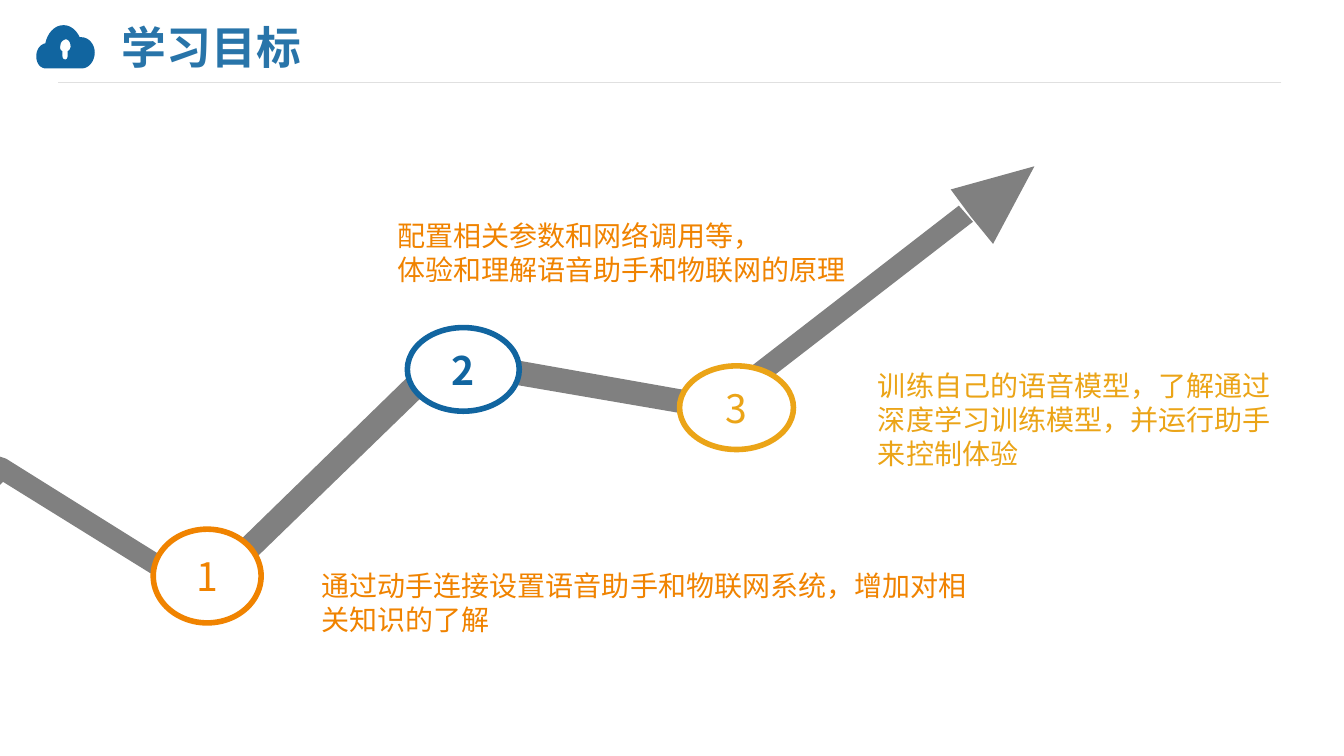
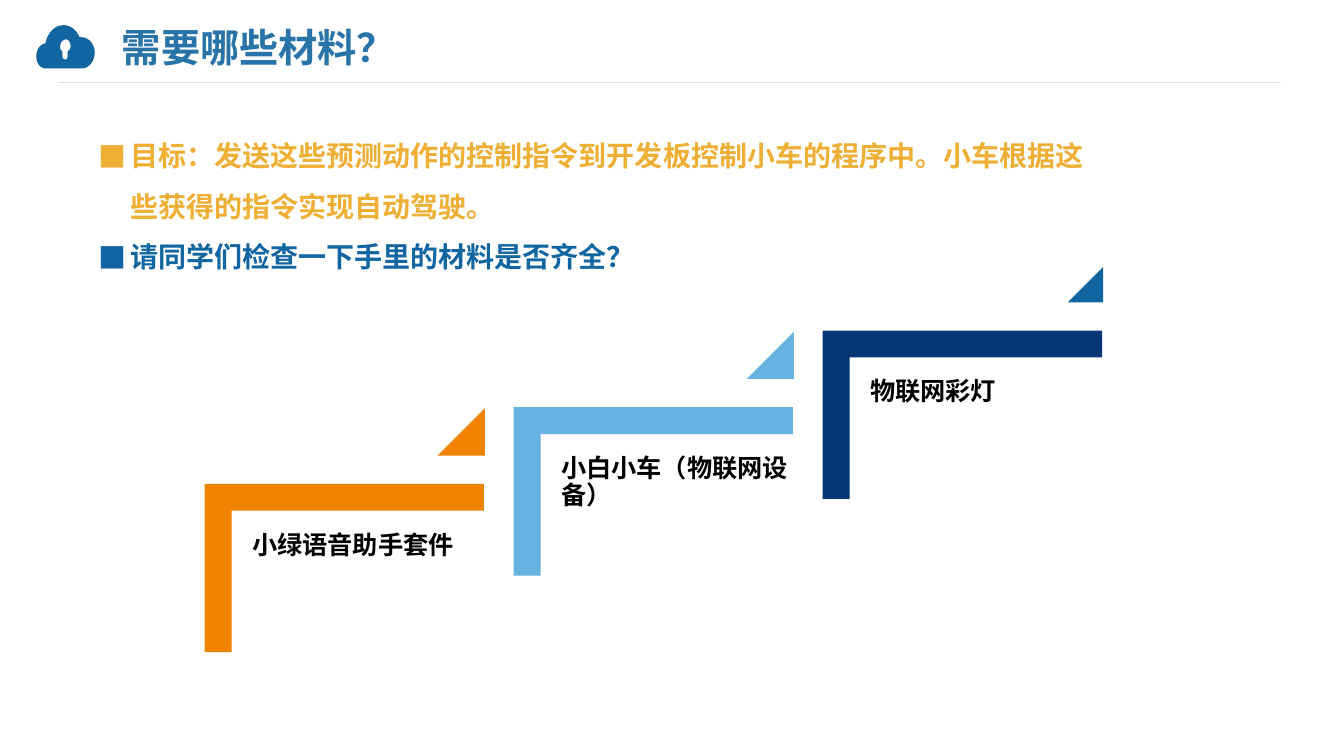
from dataclasses import dataclass

from lxml.etree import SubElement
from pptx import Presentation
from pptx.dml.color import RGBColor
from pptx.enum.shapes import MSO_CONNECTOR as Link, MSO_SHAPE as Kind
from pptx.enum.text import MSO_ANCHOR as Anchor, MSO_AUTO_SIZE as Fit, PP_ALIGN as Align
from pptx.oxml.ns import qn
from pptx.util import Inches, Pt


@dataclass(frozen=True)
class Theme:
    blue: str = "1165A0"
    head: str = "2874A9"
    navy: str = "053675"
    sky: str = "66B3E1"
    orange: str = "F08300"
    gold: str = "EBA417"
    amber: str = "EEAF34"
    gray: str = "808080"
    pale: str = "E0E0E0"
    white: str = "FFFFFF"
    black: str = "000000"
    sans: str = "Noto Sans CJK SC"
    latin: str = "Calibri"
    large: int = 32
    title: int = 28
    number: int = 28
    body: int = 20
    label: int = 18


T = Theme()

# Cloud outline and keyhole: a start point, then cubic segments (a lone point is a line)
CLOUD = ((0.45, 0.12), [
    ((0.44, 0.12), (0.44, 0.12), (0.43, 0.12)),
    ((0.4, 0.05), (0.34, 0), (0.27, 0)),
    ((0.18, 0), (0.11, 0.08), (0.09, 0.18)),
    ((0.04, 0.19), (0, 0.24), (0, 0.31)),
    ((0, 0.38), (0.04, 0.43), (0.1, 0.43)),
    ((0.45, 0.43),),
    ((0.52, 0.43), (0.58, 0.36), (0.58, 0.27)),
    ((0.58, 0.19), (0.52, 0.12), (0.45, 0.12))])
KEY = ((0.31, 0.26), [
    ((0.31, 0.31),),
    ((0.31, 0.33), (0.3, 0.34), (0.29, 0.34)),
    ((0.27, 0.34), (0.26, 0.33), (0.26, 0.31)),
    ((0.26, 0.26),),
    ((0.24, 0.25), (0.23, 0.23), (0.24, 0.2)),
    ((0.24, 0.17), (0.26, 0.15), (0.29, 0.14)),
    ((0.32, 0.14), (0.34, 0.17), (0.34, 0.21)),
    ((0.34, 0.23), (0.33, 0.25), (0.31, 0.26))])
TREND = [(0, 2.88), (0.06, 2.9), (1.98, 4.1), (4.31, 1.83), (4.38, 1.72),
         (4.48, 1.81), (7.08, 2.27), (9.51, 0.39), (9.65, 0.55), (7.14, 2.49),
         (7.07, 2.55), (6.99, 2.49), (4.43, 2.05), (2.11, 4.3), (2.07, 4.37),
         (1.98, 4.34), (0.03, 3.13), (0, 3.16)]
TIP = [(10.26, 0), (9.43, 0.23), (9.63, 0.5), (9.85, 0.77)]


def tint(code):
    return RGBColor.from_string(code)


def place(shape, box):
    shape.left, shape.top, shape.width, shape.height = map(Inches, box)


def paint(shape, fill, edge=None, width=0):
    shape.shadow.inherit = False
    shape.fill.solid()
    shape.fill.fore_color.rgb = tint(fill)
    if edge:
        shape.line.color.rgb = tint(edge)
        shape.line.width = Pt(width)
    else:
        shape.line.fill.background()


def write(para, text, size, color, bold=False, face=T.sans):
    run = para.add_run()
    run.text = text
    font = run.font
    font.name, font.size, font.bold = face, Pt(size), bold
    font.color.rgb = tint(color)
    props = run._r.get_or_add_rPr()
    props.set("lang", "zh-CN")
    east = SubElement(props, qn("a:ea"))
    east.set("typeface", T.latin)


def frame(shape, inset=(0.1, 0.05, 0.1, 0.05), anchor=Anchor.TOP, wrap=True):
    """Set up the text frame; the inset runs left, top, right, bottom."""
    area = shape.text_frame
    area.auto_size = Fit.NONE
    area.word_wrap = wrap
    area.vertical_anchor = anchor
    (area.margin_left, area.margin_top,
     area.margin_right, area.margin_bottom) = map(Inches, inset)
    return area


def lines(area, count):
    """Give the frame this many paragraphs."""
    for _ in range(count - 1):
        area.add_paragraph()
    return area.paragraphs


def curve(start, parts, steps=8):
    """Turn cubic segments into a list of points."""
    spots = [start]
    for part in parts:
        if len(part) == 1:
            spots.append(part[0])
            continue
        ends = (spots[-1], *part)
        for step in range(1, steps + 1):
            t = step / steps
            u = 1 - t
            mix = (u ** 3, 3 * u * u * t, 3 * u * t * t, t ** 3)
            spots.append(tuple(sum(m * p[axis] for m, p in zip(mix, ends))
                               for axis in (0, 1)))
    return spots


def outline(slide, x, y, loops, fill):
    """Draw closed loops, offset by x and y, as one shape."""
    moved = [[(Inches(x + px), Inches(y + py)) for px, py in loop] for loop in loops]
    first, *rest = moved
    pen = slide.shapes.build_freeform(*first[0])
    pen.add_line_segments(first[1:], close=True)
    for loop in rest:
        pen.move_to(*loop[0])
        pen.add_line_segments(loop[1:], close=True)
    paint(pen.convert_to_shape(), fill)


def header(slide, box, text, size):
    """Rule, cloud and title across the top band."""
    x, y, w, h = box
    rule = slide.shapes.add_connector(
        Link.STRAIGHT, *map(Inches, (x + w, y + h, x + 0.22, y + h)))
    rule.line.color.rgb = tint(T.pale)
    rule.line.width = Pt(0.75)
    SubElement(rule._element.spPr, qn("a:effectLst"))
    outline(slide, x, y, [curve(*CLOUD), curve(*KEY)], T.blue)
    title = slide.shapes.title
    place(title, (x + 0.85, y - 0.05, 8.89, 0.52))
    para = frame(title, (0, 0, 0, 0), Anchor.MIDDLE).paragraphs[0]
    para.alignment = Align.LEFT
    write(para, text, size, T.head, True)


def node(slide, box, text, color, bold):
    disc = slide.shapes.add_shape(Kind.OVAL, *map(Inches, box))
    paint(disc, T.white, color, 4)
    para = frame(disc, anchor=Anchor.MIDDLE, wrap=False).paragraphs[0]
    para.alignment = Align.CENTER
    write(para, text, T.number, color, bold)


def note(slide, box, texts, color):
    area = frame(slide.shapes.add_textbox(*map(Inches, box)))
    for para, text in zip(lines(area, len(texts)), texts):
        write(para, text, T.body, color)


def trend(slide, box):
    """Rising arrow with numbered stops and a note for each."""
    x, y = box[:2]
    outline(slide, x, y, [TREND], T.gray)
    outline(slide, x, y, [TIP], T.gray)
    stops = [
        ((1.52, 3.6, 1.07, 0.93), T.orange, False, (3.09, 3.94, 6.67, 0.77), T.orange,
         ["通过动手连接设置语音助手和物联网系统，增加对相关知识的了解"]),
        ((4.04, 1.6, 1.11, 0.83), T.blue, True, (3.84, 0.47, 4.8, 0.94), T.orange,
         ["配置相关参数和网络调用等，", "体验和理解语音助手和物联网的原理"]),
        ((6.74, 1.98, 1.13, 0.83), T.gold, False, (8.61, 1.96, 4.4, 1.12), T.gold,
         ["训练自己的语音模型，了解通过", "深度学习训练模型，并运行助手", "来控制体验"]),
    ]
    for rank, (disc, color, bold, spot, ink, texts) in enumerate(stops, 1):
        dx, dy, *size = disc
        node(slide, (x + dx, y + dy, *size), str(rank), color, bold)
        dx, dy, *size = spot
        note(slide, (x + dx, y + dy, *size), texts, ink)


def bullets(slide, box, items):
    body = slide.placeholders[1]
    place(body, box)
    area = frame(body)
    for para, (text, color) in zip(lines(area, len(items)), items):
        para.line_spacing = 1.5
        para.space_before = Pt(0)
        props = para._p.get_or_add_pPr()
        props.set("marL", str(Inches(0.31)))
        props.set("indent", str(-Inches(0.31)))
        SubElement(props, qn("a:buFont")).set("typeface", T.sans)
        SubElement(props, qn("a:buChar")).set("char", "■")
        write(para, text, T.body, color, True, T.latin)


def stair(slide, box, text, color, flag, side):
    """Angle bracket with a label inside and a flag of the given side above."""
    x, y, w, h = box
    shift = (w - h) / 2
    angle = slide.shapes.add_shape(
        Kind.CORNER, *map(Inches, (x + shift, y - shift, h, w)))
    angle.rotation = 90
    angle.adjustments[0] = angle.adjustments[1] = 0.16
    paint(angle, color)
    label = slide.shapes.add_textbox(
        *map(Inches, (x + 0.27, y + 0.28, w - 0.27, h - 0.28)))
    para = frame(label, (0.2, 0.2, 0, 0.07)).paragraphs[0]
    para.line_spacing = 0.9
    write(para, text, T.label, T.black, True)
    mark = slide.shapes.add_shape(
        Kind.ISOSCELES_TRIANGLE,
        *map(Inches, (x + w + 0.01 - side, y - 0.28 - side, side, side)))
    mark.adjustments[0] = 1
    paint(mark, flag)


def stairs(slide, box, items):
    """Climb from the lower left of the box to its upper right."""
    x, y, w, h = box
    wide, high = 2.77, 1.67
    last = len(items) - 1
    for rank, item in enumerate(items):
        spot = (x + rank * (w - wide) / last, y + (last - rank) * (h - high) / last)
        stair(slide, (*spot, wide, high), *item)


def main():
    deck = Presentation()
    deck.slide_width, deck.slide_height = Inches(13.33), Inches(7.5)
    band = (0.36, 0.25, 12.35, 0.57)

    goals = deck.slides.add_slide(deck.slide_layouts[5])
    header(goals, band, "学习目标", T.large)
    trend(goals, (0, 1.65, 13.33, 4.72))

    parts = deck.slides.add_slide(deck.slide_layouts[1])
    header(parts, band, "需要哪些材料？", T.title)
    bullets(parts, (0.88, 1.16, 10.19, 1.56), [
        ("目标：发送这些预测动作的控制指令到开发板控制小车的程序中。"
         "小车根据这些获得的指令实现自动驾驶。", T.amber),
        ("请同学们检查一下手里的材料是否齐全？", T.blue)])
    stairs(parts, (2.03, 3.28, 8.9, 3.19), [
        ("小绿语音助手套件", T.orange, T.orange, 0.47),
        ("小白小车（物联网设备）", T.sky, T.sky, 0.47),
        ("物联网彩灯", T.navy, T.blue, 0.35)])
    deck.save("out.pptx")


if __name__ == "__main__":
    main()
